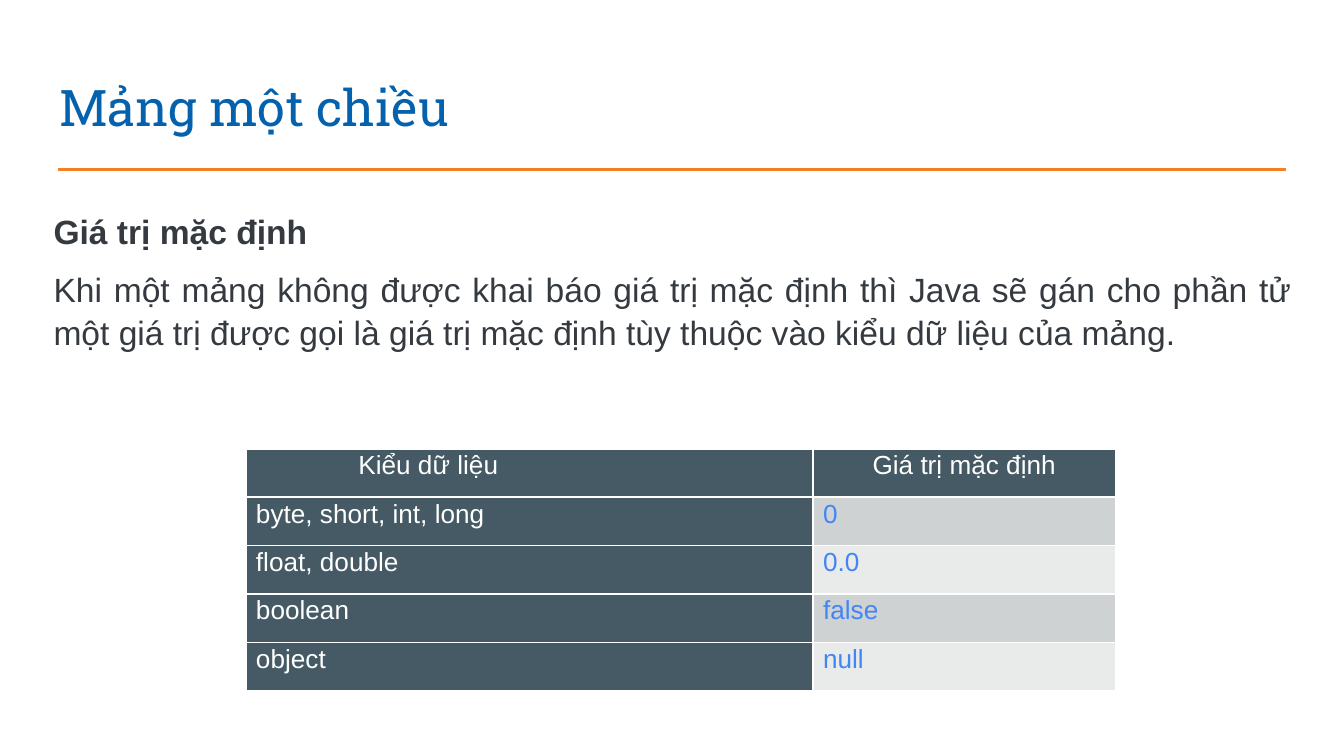
from dataclasses import dataclass

import pptx
import pptx.dml.color
import pptx.enum.shapes
import pptx.enum.text
import pptx.oxml
import pptx.oxml.ns
import pptx.util

Inches = pptx.util.Inches
Pt = pptx.util.Pt
ALIGN = pptx.enum.text.PP_ALIGN


@dataclass(frozen=True)
class Theme:
    title_font: str = "Roboto Slab"
    body_font: str = "Arial"
    title_size: int = 27
    body_size: int = 18
    table_size: int = 14
    title: str = "0361AE"
    rule: str = "F48121"
    body: str = "343A40"
    white: str = "FFFFFF"
    header: str = "455A64"
    value: str = "4285F4"
    bands: tuple = ("CFD2D3", "E9EAEA")


def rgb(value):
    return pptx.dml.color.RGBColor.from_string(value)


def set_font(p, name, size, color, bold=False):
    p.font.name = name
    p.font.size = Pt(size)
    p.font.bold = bold
    p.font.color.rgb = rgb(color)


def set_body_spacing(p):
    p.line_spacing = 1.07
    p.space_after = Pt(8)


def set_borders(cell, color, width):
    tc_pr = cell._tc.get_or_add_tcPr()
    for side in "LRTB":
        tc_pr.append(pptx.oxml.parse_xml(
            f'<a:ln{side} {pptx.oxml.ns.nsdecls("a")} w="{Pt(width)}">'
            f'<a:solidFill><a:srgbClr val="{color}"/></a:solidFill></a:ln{side}>'))


class SlideBuilder:
    """Draws themed elements on the current slide."""

    def __init__(self, slide, theme):
        self.slide = slide
        self.theme = theme

    def title(self, text, left, top, width, height):
        sp = self.slide.shapes.title
        sp.left, sp.top = Inches(left), Inches(top)
        sp.width, sp.height = Inches(width), Inches(height)
        tf = sp.text_frame
        tf.text = text
        tf.auto_size = pptx.enum.text.MSO_AUTO_SIZE.NONE
        tf.vertical_anchor = pptx.enum.text.MSO_ANCHOR.BOTTOM
        tf.margin_left = tf.margin_right = Inches(0.1)
        tf.margin_top = tf.margin_bottom = Inches(0.1)
        p = tf.paragraphs[0]
        p.alignment = ALIGN.LEFT
        set_font(p, self.theme.title_font, self.theme.title_size, self.theme.title)

    def rule(self, left, right, y):
        line = self.slide.shapes.add_connector(
            pptx.enum.shapes.MSO_CONNECTOR.STRAIGHT,
            Inches(left), Inches(y), Inches(right), Inches(y))
        line.line.color.rgb = rgb(self.theme.rule)
        line.line.width = Pt(1.5)
        line._element.spPr.append(pptx.oxml.parse_xml(
            f'<a:effectLst {pptx.oxml.ns.nsdecls("a")}/>'))

    def body(self, heading, text, left, top, width, height):
        sp = self.slide.shapes.add_textbox(
            Inches(left), Inches(top), Inches(width), Inches(height))
        tf = sp.text_frame
        tf.word_wrap = True
        tf.auto_size = pptx.enum.text.MSO_AUTO_SIZE.SHAPE_TO_FIT_TEXT
        for p, content, bold in ((tf.paragraphs[0], heading, True),
                                 (tf.add_paragraph(), text, False)):
            p.text = content
            p.alignment = ALIGN.JUSTIFY
            set_body_spacing(p)
            set_font(p, self.theme.body_font, self.theme.body_size,
                     self.theme.body, bold)

    def cell(self, cell, text, fill, color, alignment):
        set_borders(cell, self.theme.white, 1)
        cell.fill.solid()
        cell.fill.fore_color.rgb = rgb(fill)
        cell.margin_left = cell.margin_right = Pt(5.4)
        cell.margin_top = cell.margin_bottom = 0
        p = cell.text_frame.paragraphs[0]
        p.text = text
        p.alignment = alignment
        set_body_spacing(p)
        set_font(p, self.theme.body_font, self.theme.table_size, color)

    def table(self, rows, left, top, widths, row_height):
        """Draws a table whose first row and first column are dark."""
        t = self.theme
        table = self.slide.shapes.add_table(
            len(rows), len(widths), Inches(left), Inches(top),
            Inches(sum(widths)), Inches(row_height * len(rows))).table
        for column, width in zip(table.columns, widths):
            column.width = Inches(width)
        for i, row in enumerate(rows):
            table.rows[i].height = Inches(row_height)
            for j, text in enumerate(row):
                dark = i == 0 or j == 0
                self.cell(table.cell(i, j), text,
                          t.header if dark else t.bands[(i - 1) % 2],
                          t.white if dark else t.value,
                          ALIGN.CENTER if i == 0 else ALIGN.LEFT)
        return table


def main():
    prs = pptx.Presentation()
    prs.slide_width = Inches(10)
    prs.slide_height = prs.slide_width * 9 // 16
    s = SlideBuilder(prs.slides.add_slide(prs.slide_layouts[5]), Theme())

    s.rule(0.43, 9.57, 1.26)
    s.title("Mảng một chiều", 0.34, 0.49, 9.32, 0.63)
    s.body("Giá trị mặc định",
           "Khi một mảng không được khai báo giá trị mặc định thì Java sẽ gán cho "
           "phần tử một giá trị được gọi là giá trị mặc định tùy thuộc vào kiểu "
           "dữ liệu của mảng.",
           0.3, 1.5, 9.41, 1.19)
    defaults = s.table([("Kiểu dữ liệu", "Giá trị mặc định"),
                        ("byte, short, int, long", "0"),
                        ("float, double", "0.0"),
                        ("boolean", "false"),
                        ("object", "null")],
                       1.83, 3.34, (4.22, 2.25), 0.36)
    # The first heading is centred left of the column's middle.
    defaults.cell(0, 0).margin_right = Inches(1.58)

    prs.save("out.pptx")


if __name__ == "__main__":
    main()
